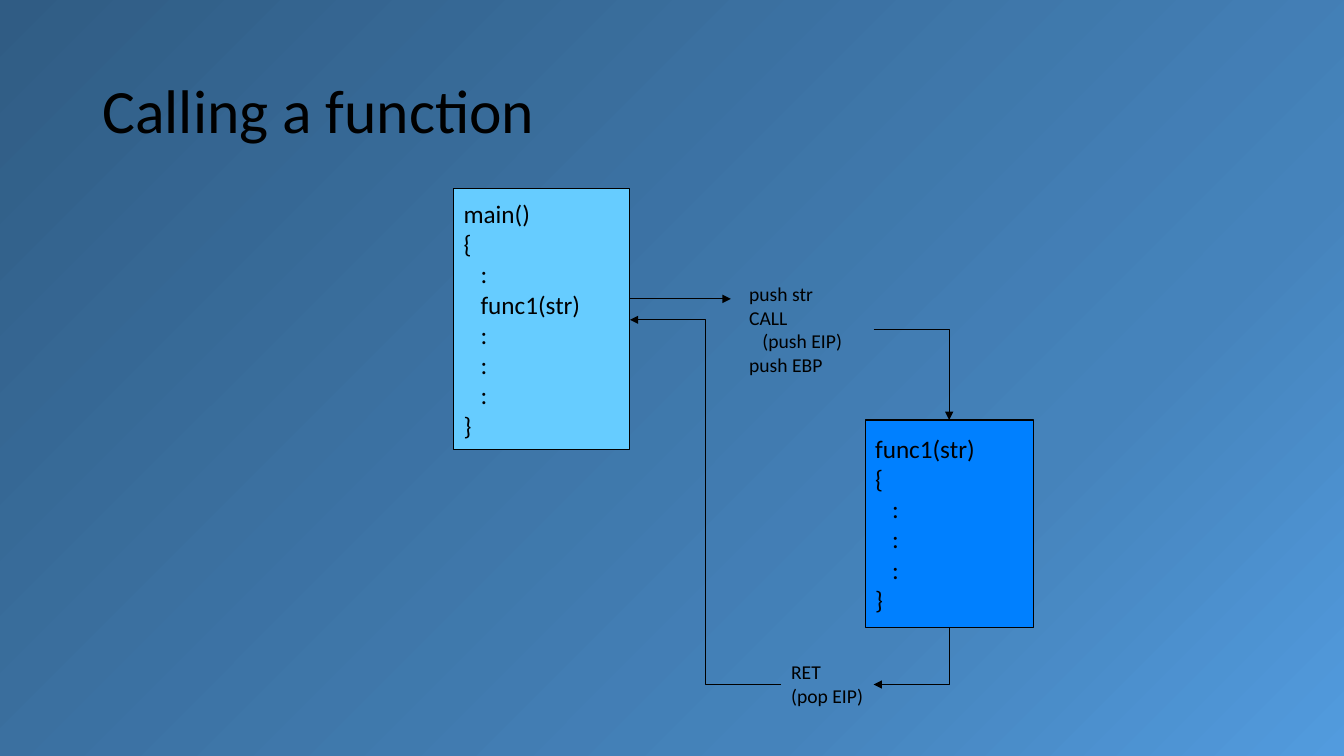
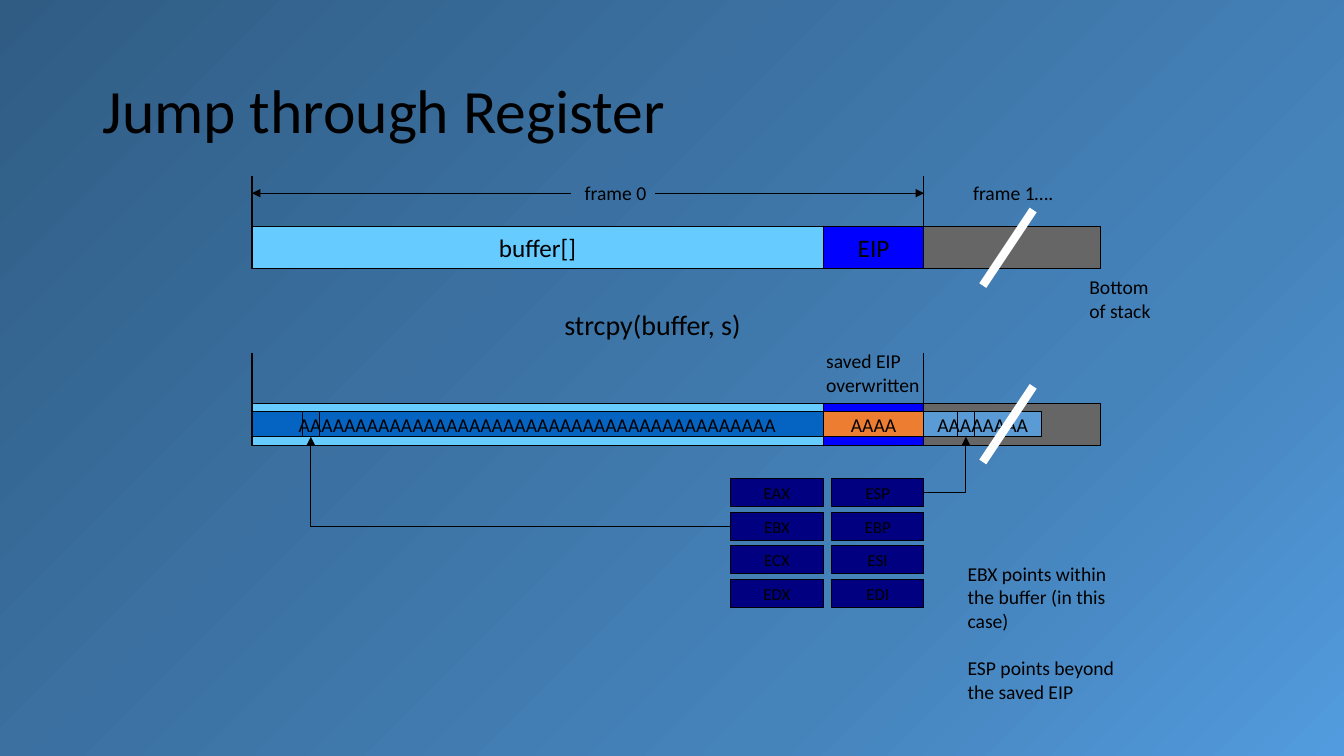
import dataclasses
import lxml.etree
import pptx
import pptx.dml.color
import pptx.enum.shapes
import pptx.enum.text
import pptx.oxml.ns
import pptx.util

Pt = pptx.util.Pt
qn = pptx.oxml.ns.qn
SHAPE = pptx.enum.shapes.MSO_SHAPE
CONNECTOR = pptx.enum.shapes.MSO_CONNECTOR
ALIGN = pptx.enum.text.PP_ALIGN
ANCHOR = pptx.enum.text.MSO_ANCHOR
AUTO_SIZE = pptx.enum.text.MSO_AUTO_SIZE


@dataclasses.dataclass(frozen=True)
class Theme:
    font: str = "Calibri"
    ink: str = "000000"
    slash: str = "FFFFFF"
    buffer: str = "66CCFF"
    function: str = "0080FF"
    eip: str = "0000FF"
    older_frame: str = "666666"
    payload: str = "0563C1"
    payload_eip: str = "ED7D31"
    payload_beyond: str = "5B9BD5"
    register: str = "000080"
    gradient: tuple = ((0, "305C84", 100), (72, "4583BB", 58), (100, "529BDE", 100))
    title: int = 44
    heading: int = 20
    code: int = 18
    label: int = 14
    small: int = 12
    hairline: float = 0.75
    thick: float = 6


def rgb(value):
    return pptx.dml.color.RGBColor.from_string(value)


class Deck:
    def __init__(self, theme):
        self.theme = theme
        self.prs = pptx.Presentation()
        self.prs.slide_width = Pt(960)
        self.prs.slide_height = Pt(540)
        self.slide = None
        self.background()

    def background(self):
        master = self.prs.slide_master
        master.background.fill.gradient()
        grad = master.element.find(".//" + qn("p:bgPr")).find(qn("a:gradFill"))
        for child in list(grad):
            grad.remove(child)
        sub = lxml.etree.SubElement
        stops = sub(grad, qn("a:gsLst"))
        for pos, color, alpha in self.theme.gradient:
            stop = sub(stops, qn("a:gs"), pos=str(pos * 1000))
            clr = sub(stop, qn("a:srgbClr"), val=color)
            if alpha < 100:
                sub(clr, qn("a:alpha"), val=str(alpha * 1000))
        circle = sub(grad, qn("a:path"), path="circle")
        sub(circle, qn("a:fillToRect"), r="100000", b="100000")

    def set_text(self, tf, text, size, align=ALIGN.LEFT):
        tf.text = text
        for p in tf.paragraphs:
            p.alignment = align
            p.font.name = self.theme.font
            p.font.size = Pt(size)
            p.font.color.rgb = rgb(self.theme.ink)

    def add_slide(self, title):
        self.slide = self.prs.slides.add_slide(self.prs.slide_layouts[5])
        sp = self.slide.shapes.title
        sp.left, sp.top, sp.width, sp.height = Pt(66), Pt(29), Pt(828), Pt(104)
        tf = sp.text_frame
        tf.vertical_anchor = ANCHOR.MIDDLE
        self.set_text(tf, title, self.theme.title)
        tf.paragraphs[0].line_spacing = 0.9

    def box(self, x, y, w, h, fill=None, text="", size=None, align=ALIGN.CENTER):
        sp = self.slide.shapes.add_shape(SHAPE.RECTANGLE, Pt(x), Pt(y), Pt(w), Pt(h))
        sp.shadow.inherit = False
        if fill:
            sp.fill.solid()
            sp.fill.fore_color.rgb = rgb(fill)
        else:
            sp.fill.background()
        sp.line.color.rgb = rgb(self.theme.ink)
        sp.line.width = Pt(self.theme.hairline)
        if text:
            tf = sp.text_frame
            tf.word_wrap = False
            tf.vertical_anchor = ANCHOR.MIDDLE
            self.set_text(tf, text, size, align)

    def label(self, x, y, w, h, text, size=None, wrap=False, gap=0):
        sp = self.slide.shapes.add_textbox(Pt(x), Pt(y), Pt(w), Pt(h))
        tf = sp.text_frame
        tf.word_wrap = wrap
        tf.auto_size = AUTO_SIZE.SHAPE_TO_FIT_TEXT
        self.set_text(tf, text, size or self.theme.label)
        for p in tf.paragraphs[1:]:
            p.space_before = Pt(gap)

    def line(self, start, end, arrow=None, color=None, width=None, bend=None):
        kind = CONNECTOR.ELBOW if bend else CONNECTOR.STRAIGHT
        cxn = self.slide.shapes.add_connector(kind, *map(Pt, start + end))
        cxn.line.color.rgb = rgb(color or self.theme.ink)
        cxn.line.width = Pt(width or self.theme.hairline)
        sp_pr = cxn.element.spPr
        if bend:
            sp_pr.find(qn("a:prstGeom")).set("prst", bend)
        if arrow:
            lxml.etree.SubElement(sp_pr.find(qn("a:ln")), qn(f"a:{arrow}End"), type="triangle")
        lxml.etree.SubElement(sp_pr, qn("a:effectLst"))

    def corner(self, start, end, arrow="tail"):
        self.line(start, end, arrow, bend="bentConnector2")

    def step(self, start, end):
        self.line(start, end, "tail", bend="bentConnector3")


def calling_slide(deck):
    t = deck.theme
    deck.add_slide("Calling a function")
    deck.box(324, 135, 126, 186, t.buffer,
             "main()\n{\n   :\n   func1(str)\n   :\n   :\n   :\n}", t.code, ALIGN.LEFT)
    deck.box(618, 300, 120, 148, t.function,
             "func1(str)\n{\n   :\n   :\n   :\n}", t.code, ALIGN.LEFT)
    deck.label(528, 198, 96, 75, "push str\nCALL\n   (push EIP)\npush EBP", wrap=True)
    deck.label(558, 468, 66, 41, "RET\n(pop EIP)")
    deck.line((450, 213.5), (522, 213.5), "tail")
    deck.corner((624, 235.5), (678, 300))
    deck.corner((624, 489), (678, 448), "head")
    deck.step((558, 489), (450, 228.5))


def register_slide(deck):
    t = deck.theme
    left, eip, older, end = 180, 588, 660, 786
    before, after = 162, 288
    deck.add_slide("Jump through Register")

    for y, buffer_text, eip_text in ((before, "buffer[]", "EIP"), (after, "", "")):
        deck.box(left, y, eip - left, 30, t.buffer, buffer_text, t.code)
        deck.box(eip, y, older - eip, 30, t.eip, eip_text, t.code)
        deck.box(older, y, end - older, 30, t.older_frame)
        for x in (left, older):
            deck.line((x, y), (x, y - 36))

    payload_y = after + 6
    for x, w, fill, count in (
        (left, eip - left, t.payload, 42),
        (eip, older - eip, t.payload_eip, 4),
        (older, 84, t.payload_beyond, 8),
    ):
        deck.box(x, payload_y, w, 18, fill, "A" * count, t.label)
    for x in (216, 684):
        deck.box(x, payload_y, 12, 18)
    for y in (before, after):
        deck.line((738, y - 12), (702, y + 42), color=t.slash, width=t.thick)

    registers = (("EAX", "EBX", "ECX", "EDX"), ("ESP", "EBP", "ESI", "EDI"))
    for col, names in enumerate(registers):
        for row, name in enumerate(names):
            deck.box(522 + 72 * col, 342 + 24 * row, 66, 20, t.register, name, t.small)
    deck.corner((522, 376), (222, 312))
    deck.corner((660, 352), (690, 312))

    deck.line((408, 138), (left, 138), "tail")
    deck.line((468, 138), (older, 138), "tail")
    deck.label(410.5, 126, 59, 24.5, "frame 0", wrap=True)
    deck.label(688, 126, 72, 24.5, "frame 1….", wrap=True)
    deck.label(771, 193, 58, 41, "Bottom\nof stack")
    deck.label(396, 216, 143, 32, "strcpy(buffer, s)", t.heading)
    deck.label(583, 246, 82, 41, "saved EIP\noverwritten")
    deck.label(684, 397.5, 120, 109,
               "EBX points within\vthe buffer (in this\vcase)\n"
               "ESP points beyond\vthe saved EIP", gap=17)


def main():
    deck = Deck(Theme())
    calling_slide(deck)
    register_slide(deck)
    deck.prs.save("out.pptx")


if __name__ == "__main__":
    main()
